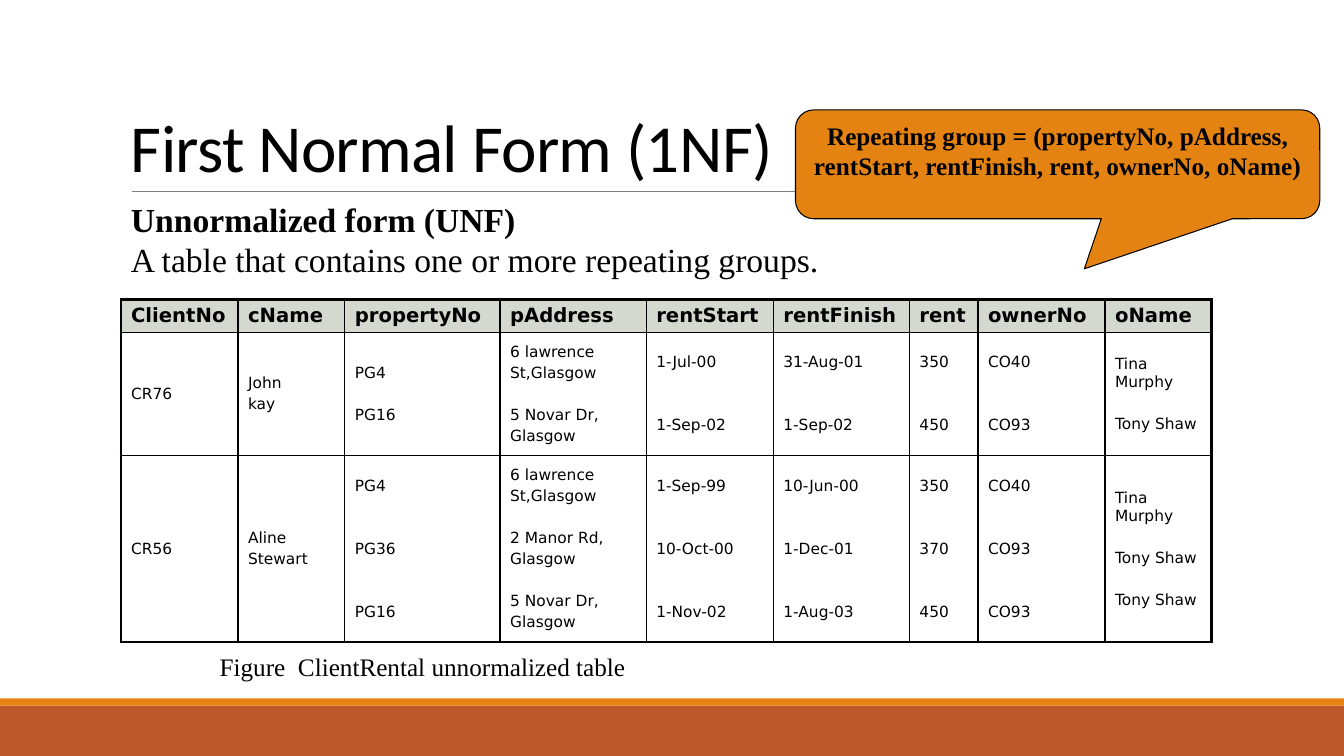
from lxml import etree
from pptx import Presentation
from pptx.dml.color import RGBColor
from pptx.enum.shapes import MSO_CONNECTOR, MSO_SHAPE
from pptx.enum.text import MSO_ANCHOR, PP_ALIGN
from pptx.oxml.ns import qn
from pptx.util import Inches, Pt

LINE = MSO_CONNECTOR.STRAIGHT
RECT = MSO_SHAPE.RECTANGLE
CALLOUT = MSO_SHAPE.ROUNDED_RECTANGULAR_CALLOUT
TOP, MIDDLE, BOTTOM = MSO_ANCHOR.TOP, MSO_ANCHOR.MIDDLE, MSO_ANCHOR.BOTTOM
CENTER = PP_ALIGN.CENTER

BLACK, ORANGE, RUST = "000000", "E48312", "BD582C"
GREY, SAGE = "808080", "D4D9CF"
SERIF, SANS, TABLE = "Times New Roman", "Calibri", "DejaVu Sans"

COLS = [1.16, 1.06, 1.54, 1.45, 1.26, 1.35, 0.68, 1.26, 1.06]
ROWS = [0.33, 1.22, 1.85]
# "|" parts the lines of a cell; an empty part leaves one line of space.
CELLS = [
    ["ClientNo", "cName", "propertyNo", "pAddress", "rentStart",
     "rentFinish", "rent", "ownerNo", "oName"],
    ["CR76", "John|kay", "PG4||PG16",
     "6 lawrence|St,Glasgow||5 Novar Dr,|Glasgow",
     "1-Jul-00|||1-Sep-02", "31-Aug-01|||1-Sep-02", "350|||450",
     "CO40|||CO93", "Tina Murphy||Tony Shaw"],
    ["CR56", "Aline|Stewart", "PG4|||PG36|||PG16",
     "6 lawrence|St,Glasgow||2 Manor Rd,|Glasgow||5 Novar Dr,|Glasgow",
     "1-Sep-99|||10-Oct-00|||1-Nov-02",
     "10-Jun-00|||1-Dec-01|||1-Aug-03", "350|||370|||450",
     "CO40|||CO93|||CO93", "Tina Murphy||Tony Shaw||Tony Shaw"],
]
GAP, PITCH = 2.2, 15


def color(code):
    return RGBColor.from_string(code)


def style(para, name, size, bold=False):
    for run in para.runs:
        font = run.font
        font.name, font.size, font.bold = name, Pt(size), bold
        font.color.rgb = color(BLACK)


def text(slide, box, lines, name, size, wrap=False, anchor=TOP):
    """Add a text box; lines holds pairs of wording and bold."""
    frame = slide.shapes.add_textbox(*map(Inches, box)).text_frame
    frame.word_wrap = wrap
    frame.vertical_anchor = anchor
    frame.text = "\n".join(words for words, _ in lines)
    for para, (_, bold) in zip(frame.paragraphs, lines):
        style(para, name, size, bold)
    return frame


def block(slide, kind, box, fill):
    shape = slide.shapes.add_shape(kind, *map(Inches, box))
    shape.shadow.inherit = False
    shape.fill.solid()
    shape.fill.fore_color.rgb = color(fill)
    shape.line.fill.background()
    return shape


def footer(slide, box):
    left, top, width, height = box
    strip = 0.07
    block(slide, RECT, (left, top + strip, width, height - strip), RUST)
    block(slide, RECT, (left, top, width, strip), ORANGE)


def title(slide, box):
    left, top, width, height = box
    base = top + height
    ends = (left + 0.11, base, left + width + 0.01, base)
    rule = slide.shapes.add_connector(LINE, *map(Inches, ends))
    rule.line.color.rgb = color(GREY)
    rule.line.width = Pt(0.5)
    etree.SubElement(rule._element.spPr, qn("a:effectLst"))
    frame = text(slide, box, [("First Normal Form (1NF)", False)],
                 SANS, 48, True, BOTTOM)
    para = frame.paragraphs[0]
    para.line_spacing = 0.85
    para.runs[0].font._element.set("spc", "-50")


def callout(slide, box):
    shape = block(slide, CALLOUT, box, ORANGE)
    for i, value in enumerate((0.051, 0.96, 0.167)):
        shape.adjustments[i] = value
    shape.line.color.rgb = color(BLACK)
    shape.line.width = Pt(0.75)
    frame = shape.text_frame
    frame.word_wrap = True
    frame.vertical_anchor = TOP
    frame.text = ("Repeating group = (propertyNo, pAddress, "
                  "rentStart, rentFinish, rent, ownerNo, oName)")
    frame.paragraphs[0].alignment = CENTER
    style(frame.paragraphs[0], SERIF, 18, True)


def border(cell, outer):
    """Rule all four sides, the ones in outer thicker."""
    props = cell._tc.get_or_add_tcPr()
    for side in "LRTB":
        width = Pt(2.25 if side in outer else 1)
        line = etree.SubElement(props, qn("a:ln" + side), w=str(width))
        fill = etree.SubElement(line, qn("a:solidFill"))
        etree.SubElement(fill, qn("a:srgbClr"), val=BLACK)


def write(cell, words, head):
    parts = words.split("|")
    frame = cell.text_frame
    frame.text = "\n".join(part for part in parts if part)
    paras = iter(frame.paragraphs)
    space = 0
    for i, part in enumerate(parts):
        if not part:
            space += PITCH
            continue
        para = next(paras)
        if i:
            para.space_before = Pt(GAP + space)
        style(para, TABLE, 14 if head else 11, head)
        space = 0


def rental(slide, box):
    shape = slide.shapes.add_table(len(ROWS), len(COLS), *map(Inches, box))
    table = shape.table
    table.horz_banding = False
    for col, width in zip(table.columns, COLS):
        col.width = Inches(width)
    for r, height in enumerate(ROWS):
        table.rows[r].height = Inches(height)
        for c, words in enumerate(CELLS[r]):
            cell = table.cell(r, c)
            cell.margin_left = cell.margin_right = Inches(0.1)
            cell.margin_top = cell.margin_bottom = 0
            cell.vertical_anchor = MIDDLE
            edges = (("L", c == 0), ("R", c == len(COLS) - 1),
                     ("T", r == 0), ("B", r == len(ROWS) - 1))
            border(cell, [side for side, on in edges if on])
            if r:
                cell.fill.background()
            else:
                cell.fill.solid()
                cell.fill.fore_color.rgb = color(SAGE)
            write(cell, words, r == 0)


def main():
    deck = Presentation()
    deck.slide_width, deck.slide_height = Inches(13.33), Inches(7.5)
    slide = deck.slides.add_slide(deck.slide_layouts[6])
    footer(slide, (0, 6.93, 13.33, 0.57))
    title(slide, (1.2, 0.31, 11, 1.59))
    text(slide, (1.2, 1.92, 7.08, 0.91),
         [("Unnormalized form (UNF)", True),
          ("A table that contains one or more repeating groups.", False)],
         SERIF, 24)
    rental(slide, (1.2, 2.97, sum(COLS), sum(ROWS)))
    text(slide, (2.08, 6.41, 4.35, 0.4),
         [("Figure  ClientRental unnormalized table", False)], SERIF, 18)
    callout(slide, (7.89, 1.09, 5.2, 1.08))
    deck.save("out.pptx")


if __name__ == "__main__":
    main()
